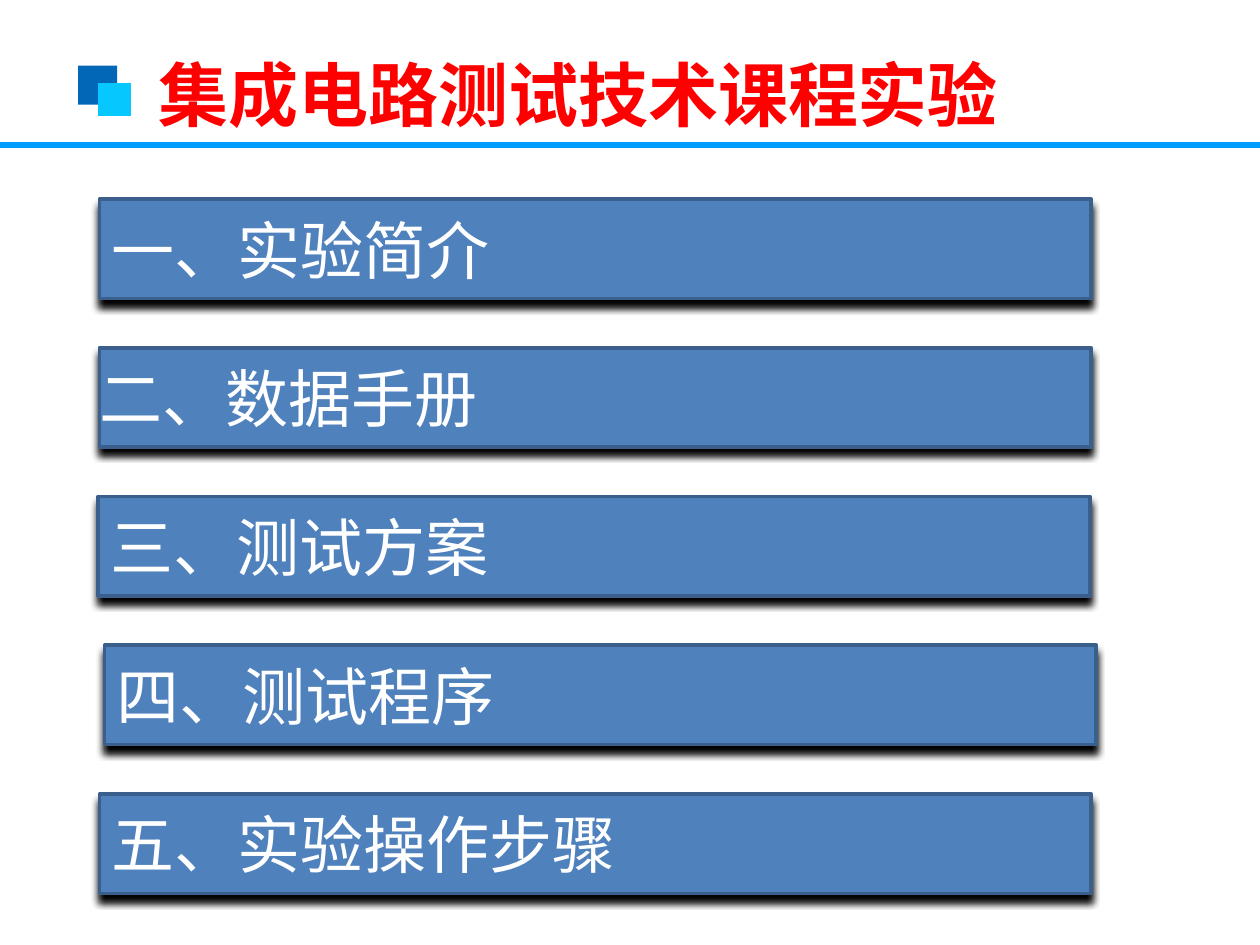
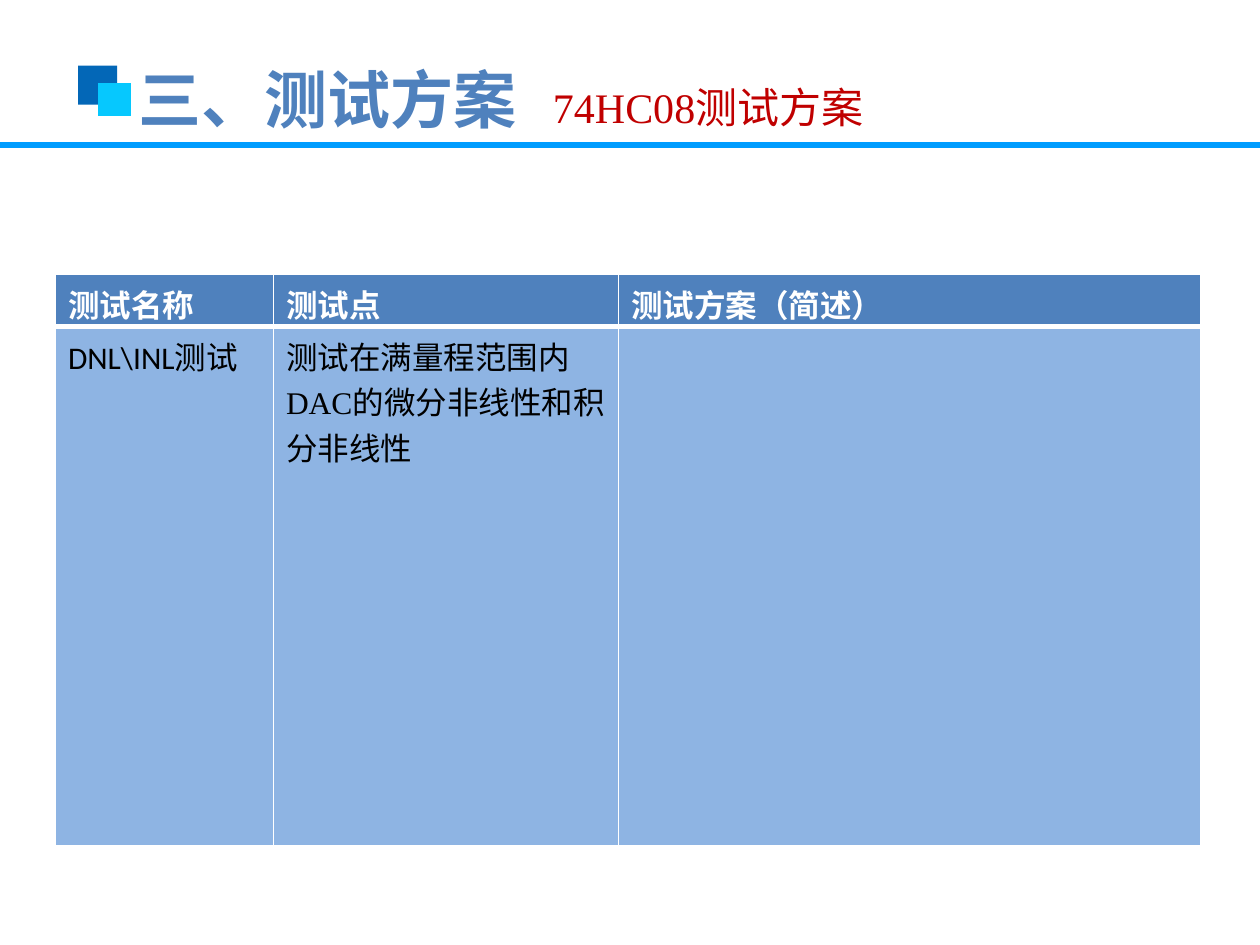
import lxml.etree
import pptx
import pptx.dml.color
import pptx.enum.shapes
import pptx.enum.text
import pptx.oxml.ns
import pptx.util

EMU_PER_PX = 9144  # 100 px to the inch
CJK_FONT = "Noto Sans CJK SC"

BLUE = "4F81BD"
BAR_EDGE = "3A5F8C"
RULE = "009DFF"
MARK_DARK = "0367B7"
MARK_LIGHT = "06C8FE"
CELL_BLUE = "8EB4E3"
RED = "FF0000"
DARK_RED = "C00000"
WHITE = "FFFFFF"
BLACK = "000000"


def px(length):
    return pptx.util.Emu(length * EMU_PER_PX)


def color(hex_text):
    return pptx.dml.color.RGBColor.from_string(hex_text)


def add_xml(parent, tag, **attributes):
    return lxml.etree.SubElement(parent, pptx.oxml.ns.qn(tag), attributes)


class SlideMaker:
    def __init__(self):
        self.deck = pptx.Presentation()
        self.deck.slide_width, self.deck.slide_height = px(1000), px(750)
        self.page = None

    def new_page(self):
        """Start a page with the rule and the two squares all pages share."""
        self.page = self.deck.slides.add_slide(self.deck.slide_layouts[6])
        self.rule(0, 115, 1000, 115)
        mark = self.page.shapes.add_group_shape()
        self.rectangle(62, 52, 31, 31, MARK_DARK, mark.shapes)
        self.rectangle(78, 66, 26, 26, MARK_LIGHT, mark.shapes)

    def rule(self, x1, y1, x2, y2):
        line = self.page.shapes.add_connector(
            pptx.enum.shapes.MSO_CONNECTOR.STRAIGHT, px(x1), px(y1), px(x2), px(y2))
        line.line.color.rgb = color(RULE)
        line.line.width = pptx.util.Pt(3)
        add_xml(line._element.spPr, "a:effectLst")

    def rectangle(self, left, top, width, height, fill, shapes=None):
        shapes = shapes or self.page.shapes
        box = shapes.add_shape(pptx.enum.shapes.MSO_SHAPE.RECTANGLE,
                               px(left), px(top), px(width), px(height))
        box.shadow.inherit = False
        box.fill.solid()
        box.fill.fore_color.rgb = color(fill)
        box.line.fill.background()
        return box

    def set_text(self, frame, text, size, font, ink, bold=False):
        para = frame.paragraphs[0]
        para.alignment = pptx.enum.text.PP_ALIGN.LEFT
        para.add_run().text = text
        para.font.size = pptx.util.Pt(size)
        para.font.bold = bold
        para.font.color.rgb = color(ink)
        para.font.name = font
        add_xml(para._p.pPr.find(pptx.oxml.ns.qn("a:defRPr")), "a:ea", typeface=CJK_FONT)
        return para

    def text(self, left, top, width, height, text, size, font, ink, bold=False, wrap=False):
        box = self.page.shapes.add_textbox(px(left), px(top), px(width), px(height))
        box.text_frame.word_wrap = wrap
        box.text_frame.auto_size = pptx.enum.text.MSO_AUTO_SIZE.SHAPE_TO_FIT_TEXT
        return self.set_text(box.text_frame, text, size, font, ink, bold)

    def bar(self, left, top, text, side_inset):
        """Agenda bar with a soft shadow below it."""
        box = self.rectangle(left, top, 787, 79, BLUE)
        box.line.color.rgb = color(BAR_EDGE)
        box.line.width = pptx.util.Pt(2)
        effects = box._element.spPr.find(pptx.oxml.ns.qn("a:effectLst"))
        shadow = add_xml(effects, "a:outerShdw", blurRad="50800", dist="50800",
                         dir="5400000", algn="ctr", rotWithShape="0")
        add_xml(add_xml(shadow, "a:srgbClr", val=BLACK), "a:alpha", val="99000")
        frame = box.text_frame
        frame.vertical_anchor = pptx.enum.text.MSO_ANCHOR.MIDDLE
        frame.margin_left = frame.margin_right = px(side_inset)
        self.set_text(frame, text, 36, "Calibri", WHITE)

    def cell_borders(self, cell, **widths):
        properties = cell._tc.get_or_add_tcPr()
        for side in "LRTB":
            line = add_xml(properties, f"a:ln{side}", w=str(pptx.util.Pt(widths.get(side, 1))))
            add_xml(add_xml(line, "a:solidFill"), "a:srgbClr", val=WHITE)

    def table(self, left, top, widths, heights, header, body):
        """Table with a header row; each body cell is a (text, font) pair."""
        table = self.page.shapes.add_table(
            2, len(widths), px(left), px(top), px(sum(widths)), px(sum(heights))).table
        table.horz_banding = False
        for column, width in zip(table.columns, widths):
            column.width = px(width)
        for row, height in zip(table.rows, heights):
            row.height = px(height)
        for index, title in enumerate(header):
            cell = table.cell(0, index)
            self.cell_borders(cell, B=3)
            cell.fill.solid()
            cell.fill.fore_color.rgb = color(BLUE)
            cell.margin_bottom = 0
            self.set_text(cell.text_frame, title, 18, "Calibri", WHITE, bold=True)
        for index, (text, font) in enumerate(body):
            cell = table.cell(1, index)
            self.cell_borders(cell, T=3)
            cell.fill.solid()
            cell.fill.fore_color.rgb = color(CELL_BLUE)
            if text:
                self.set_text(cell.text_frame, text, 18, font, BLACK)


def main():
    maker = SlideMaker()

    # Agenda
    maker.new_page()
    title = maker.text(114, 36, 690, 77, "集成电路测试技术课程实验", 40, "Arial", RED, bold=True)
    title.alignment = pptx.enum.text.PP_ALIGN.CENTER
    agenda = [
        (79, "一、实验简介", 10),
        (79, "二、数据手册", 0),
        (78, "三、测试方案", 10),
        (83, "四、测试程序", 10),
        (79, "五、实验操作步骤", 10),
    ]
    for index, (left, text, side_inset) in enumerate(agenda):
        maker.bar(left, 158 + 118 * index, text, side_inset)

    # Test plan
    maker.new_page()
    maker.text(100, 43, 320, 71, "三、测试方案", 36, CJK_FONT, BLUE, bold=True)
    subtitle = maker.text(429, 40, 294, 71, "74HC08测试方案", 24, "Times New Roman",
                          DARK_RED, wrap=True)
    subtitle.line_spacing = 1.5
    maker.table(
        44, 218, widths=[173, 274, 462], heights=[41, 412],
        header=["测试名称", "测试点", "测试方案（简述）"],
        body=[
            ("DNL\\INL测试", "Calibri"),
            ("测试在满量程范围内DAC的微分非线性和积分非线性", "Times New Roman"),
            ("", "Calibri"),
        ])

    maker.deck.save("out.pptx")


if __name__ == "__main__":
    main()
